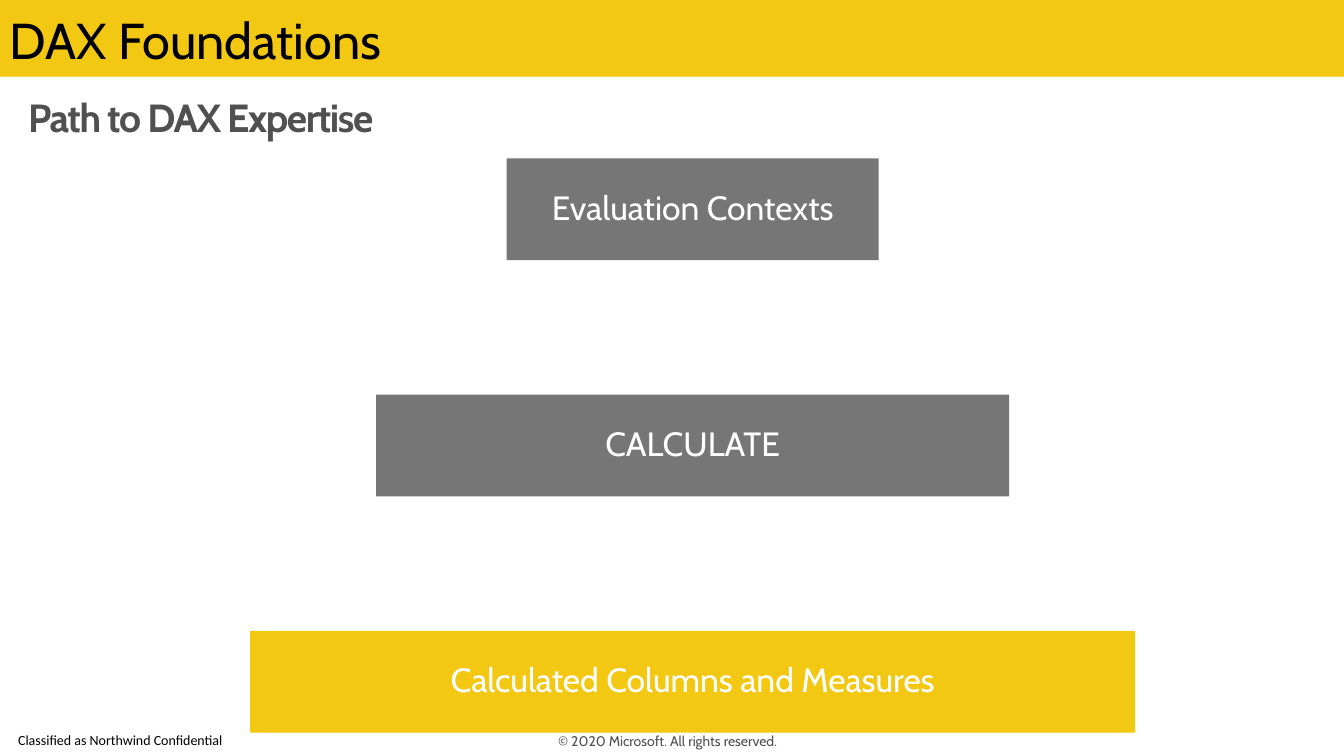
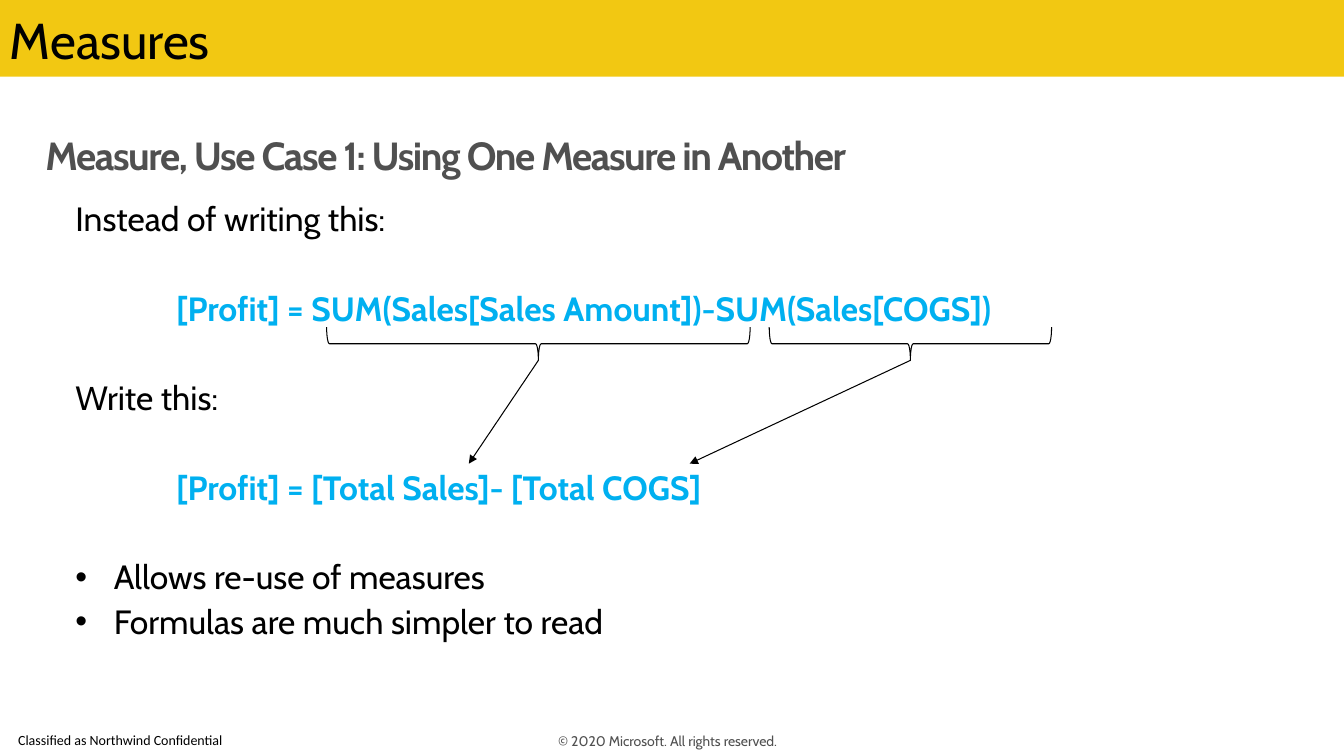
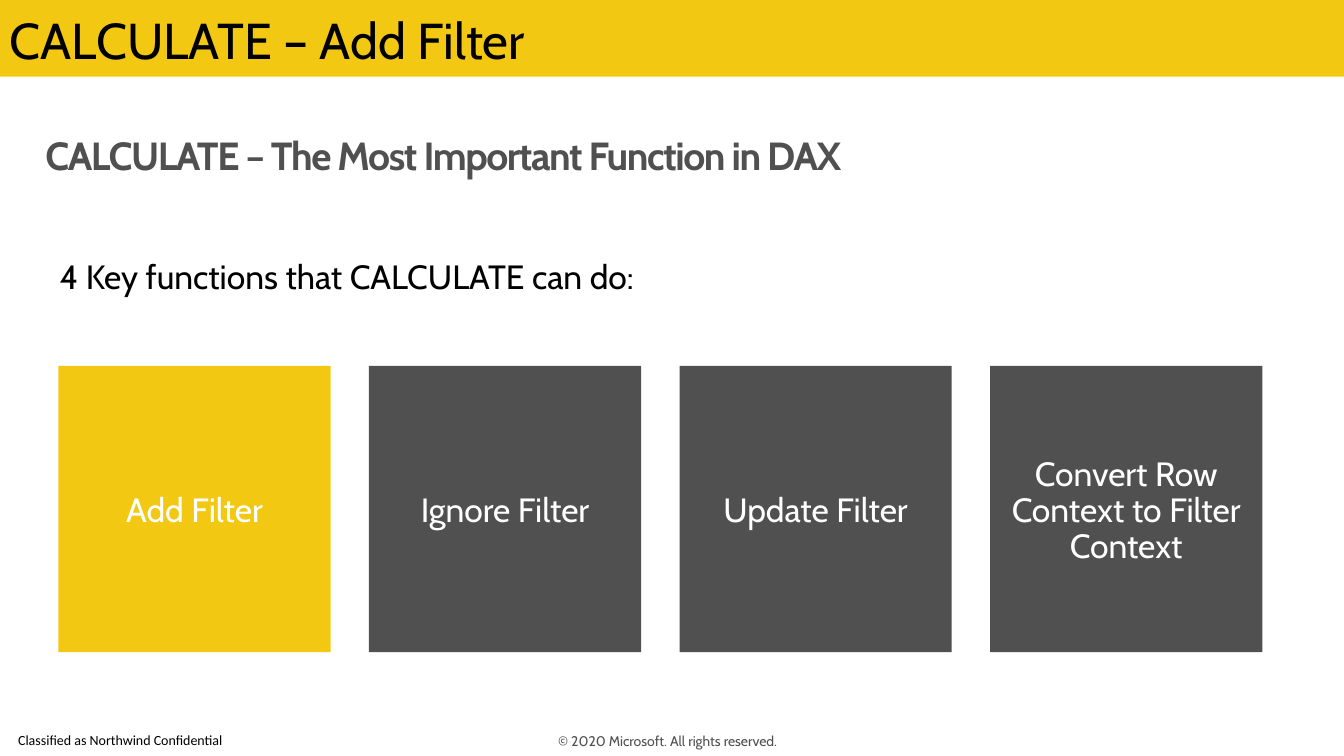
"""Build three DAX training slides with a shared header band, title and footers."""
from dataclasses import dataclass

from lxml import etree
from pptx import Presentation
from pptx.dml.color import RGBColor
from pptx.enum import shapes, text
from pptx.oxml import ns
from pptx.util import Inches, Pt


@dataclass(frozen=True)
class Theme:
    """Colours, fonts and type sizes."""
    yellow: str = "F2C812"
    mid_gray: str = "767676"
    dark_gray: str = "505050"
    black: str = "000000"
    white: str = "FFFFFF"
    blue: str = "00B0F0"
    font: str = "Cabin"
    label_font: str = "Calibri"
    header: int = 36
    title: int = 28
    body: int = 24
    footer: int = 10
    line: float = 0.75
    tight: float = 0.9


THEME = Theme()
SLIDE_SIZE = (13.33, 7.5)
CLASSIFICATION = "Classified as Northwind Confidential"
COPYRIGHT = "© 2020 Microsoft. All rights reserved."
PLAIN_INSETS = (0.1, 0.05, 0.1, 0.05)
WIDE_INSETS = (0.2, 0.16, 0.2, 0.16)
TILE_INSETS = (0.2, 0.21, 0.2, 0.16)

STEPS = [
    ("Evaluation Contexts", 3.69, THEME.mid_gray),
    ("CALCULATE", 6.28, THEME.mid_gray),
    ("Calculated Columns and Measures", 8.78, THEME.yellow),
]
MEASURE_LINES = [
    ("lead", "Instead of writing this:"),
    ("formula", "[Profit] = SUM(Sales[Sales Amount])-SUM(Sales[COGS])"),
    ("lead", "Write this:"),
    ("formula", "[Profit] = [Total Sales]- [Total COGS]"),
    ("bullet", "Allows re-use of measures"),
    ("bullet", "Formulas are much simpler to read"),
]
REPLACEMENTS = [(5.34, 4.2, 4.65), (9.03, 2.8, 6.84)]
FILTER_TASKS = [
    ("Add Filter", THEME.yellow),
    ("Ignore Filter", THEME.dark_gray),
    ("Update Filter", THEME.dark_gray),
    ("Convert Row Context to Filter Context", THEME.dark_gray),
]


def rgb(color):
    return RGBColor.from_string(color)


def place(part, left, top, width, height):
    part.left, part.top, part.width, part.height = map(Inches, (left, top, width, height))


def set_frame(frame, insets, anchor):
    frame.word_wrap = True
    frame.auto_size = text.MSO_AUTO_SIZE.NONE
    frame.vertical_anchor = anchor
    (frame.margin_left, frame.margin_top,
     frame.margin_right, frame.margin_bottom) = map(Inches, insets)


def style(paragraph, size, color, font=THEME.font, bold=False,
          align=text.PP_ALIGN.LEFT, spacing=THEME.tight):
    paragraph.alignment = align
    paragraph.line_spacing = spacing
    for run in paragraph.runs:
        run.font.name, run.font.size, run.font.bold = font, Pt(size), bold
        run.font.color.rgb = rgb(color)


def write(part, words, size, color, insets=PLAIN_INSETS,
          anchor=text.MSO_ANCHOR.TOP, **look):
    part.text_frame.text = words
    set_frame(part.text_frame, insets, anchor)
    style(part.text_frame.paragraphs[0], size, color, **look)


def add_label(slide, box, words, size, color, **look):
    label = slide.shapes.add_textbox(*map(Inches, box))
    write(label, words, size, color, **look)


def add_block(slide, box, fill, words="", insets=WIDE_INSETS):
    block = slide.shapes.add_shape(shapes.MSO_SHAPE.RECTANGLE, *map(Inches, box))
    block.shadow.inherit = False
    block.fill.solid()
    block.fill.fore_color.rgb = rgb(fill)
    block.line.fill.background()
    if words:
        write(block, words, THEME.body, THEME.white, insets=insets,
              anchor=text.MSO_ANCHOR.MIDDLE, align=text.PP_ALIGN.CENTER)


def add_page(deck, header, title, left=0.29, top=1.26):
    slide = deck.slides.add_slide(deck.slide_layouts[5])
    heading = slide.shapes.title
    place(heading, left, top, 12.75, 0.57)
    write(heading, title, THEME.title, THEME.dark_gray,
          insets=(0.16, 0.1, 0.16, 0.1), bold=True)
    for run in heading.text_frame.paragraphs[0].runs:
        run.font._element.set("spc", "-100")
    add_block(slide, (0, 0, SLIDE_SIZE[0], 0.76), THEME.yellow)
    add_label(slide, (0, 0.04, 12.53, 0.72), header, THEME.header, THEME.black, spacing=1.0)
    add_label(slide, (0, 7.21, 2.32, 0.29), CLASSIFICATION, THEME.footer, THEME.black,
              font=THEME.label_font, insets=(0.18, 0, 0, 0), anchor=text.MSO_ANCHOR.MIDDLE)
    add_label(slide, (4.42, 7.23, 4.5, 0.25), COPYRIGHT, THEME.footer, THEME.dark_gray,
              insets=(0, 0, 0.1, 0), anchor=text.MSO_ANCHOR.MIDDLE,
              align=text.PP_ALIGN.CENTER, spacing=1.0)
    return slide


def indent(paragraph, margin, bullet=False):
    properties = paragraph._p.get_or_add_pPr()
    properties.set("marL", str(Inches(margin)))
    if bullet:
        properties.set("indent", str(-Inches(margin)))
        etree.SubElement(properties, ns.qn("a:buFont")).set("typeface", "Arial")
        etree.SubElement(properties, ns.qn("a:buChar")).set("char", "•")


def add_measure_lines(slide):
    body = slide.shapes.add_textbox(*map(Inches, (0.65, 1.96, 12.39, 4.49)))
    frame = body.text_frame
    set_frame(frame, PLAIN_INSETS, text.MSO_ANCHOR.TOP)
    previous = None
    for kind, words in MEASURE_LINES:
        paragraph = frame.add_paragraph() if previous else frame.paragraphs[0]
        paragraph.text = words
        if kind == "formula":
            indent(paragraph, 1)
        elif kind == "bullet":
            indent(paragraph, 0.38, bullet=True)
        if previous and kind != previous:
            paragraph.space_before = Pt(32)
        paragraph.space_after = Pt(6)
        formula = kind == "formula"
        style(paragraph, THEME.body, THEME.blue if formula else THEME.black, bold=formula)
        previous = kind


def set_line(part):
    part.line.color.rgb = rgb(THEME.black)
    part.line.width = Pt(THEME.line)


def add_replacement(slide, center, span, target):
    depth, middle = 0.33, 3.41
    brace = slide.shapes.add_shape(
        shapes.MSO_SHAPE.LEFT_BRACE,
        *map(Inches, (center - depth / 2, middle - span / 2, depth, span)))
    brace.rotation = 270
    brace.shadow.inherit = False
    brace.fill.background()
    set_line(brace)
    arrow = slide.shapes.add_connector(
        shapes.MSO_CONNECTOR.STRAIGHT,
        *map(Inches, (center, middle + depth / 2, target, 4.6)))
    set_line(arrow)
    etree.SubElement(arrow.line._get_or_add_ln(), ns.qn("a:tailEnd")).set("type", "triangle")
    etree.SubElement(arrow._element.spPr, ns.qn("a:effectLst"))


def build_foundations(deck):
    slide = add_page(deck, "DAX Foundations", "Path to DAX Expertise", 0.12, 0.88)
    center, top, pitch, height = 6.87, 1.57, 2.345, 1.01
    for row, (words, width, fill) in enumerate(STEPS):
        add_block(slide, (center - width / 2, top + row * pitch, width, height), fill, words)


def build_measures(deck):
    slide = add_page(deck, "Measures", "Measure, Use Case 1: Using One Measure in Another")
    add_measure_lines(slide)
    for replacement in REPLACEMENTS:
        add_replacement(slide, *replacement)


def build_calculate(deck):
    slide = add_page(deck, "CALCULATE – Add Filter",
                     "CALCULATE – The Most Important Function in DAX")
    add_label(slide, (0.39, 2.42, 10.89, 0.69), "4 Key functions that CALCULATE can do:",
              THEME.body, THEME.black, insets=WIDE_INSETS)
    left, width, gap = 0.58, 2.7, 0.38
    for column, (words, fill) in enumerate(FILTER_TASKS):
        add_block(slide, (left + column * (width + gap), 3.63, width, 2.84),
                  fill, words, TILE_INSETS)


def main():
    deck = Presentation()
    deck.slide_width, deck.slide_height = map(Inches, SLIDE_SIZE)
    build_foundations(deck)
    build_measures(deck)
    build_calculate(deck)
    deck.save("out.pptx")


if __name__ == "__main__":
    main()
